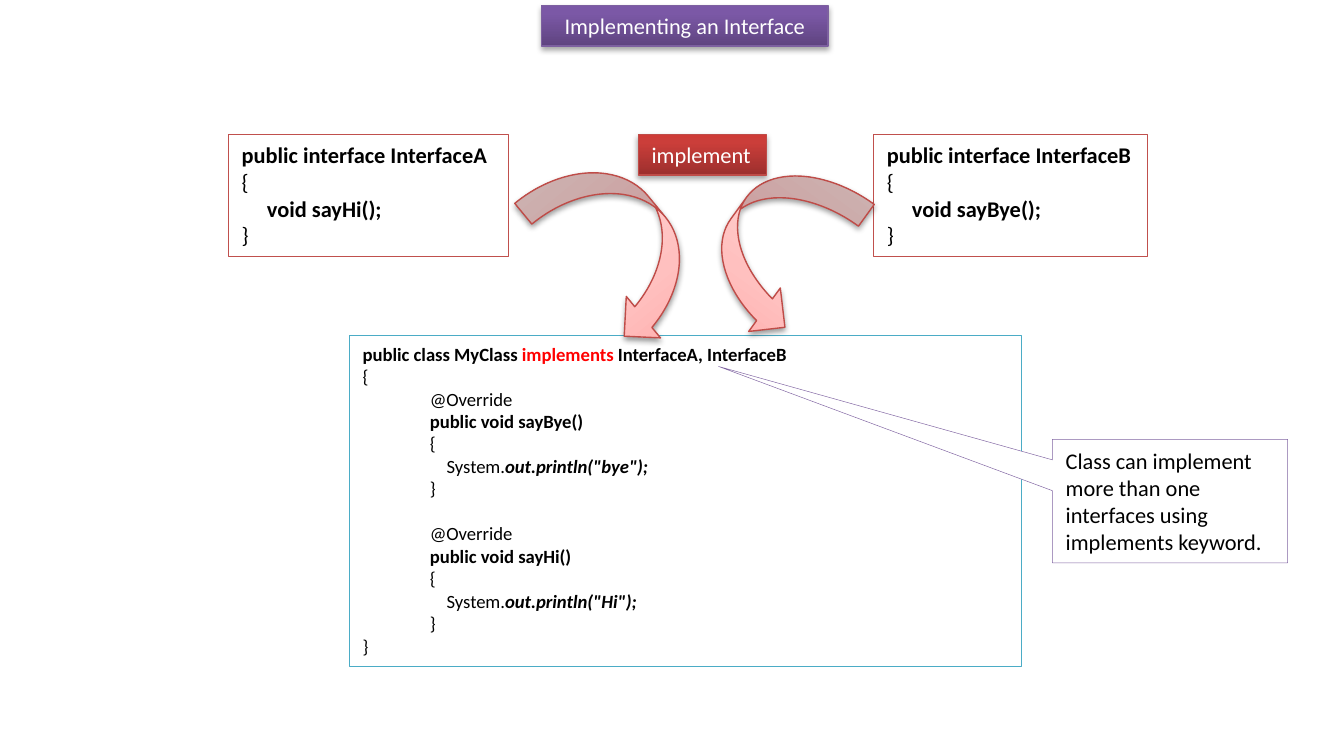
import copy
import pptx
import pptx.dml.color
import pptx.enum.shapes
import pptx.enum.text
import pptx.oxml
import pptx.oxml.ns
import pptx.util

Pt = pptx.util.Pt
SHAPES = pptx.enum.shapes.MSO_SHAPE
ALIGN = pptx.enum.text.PP_ALIGN
ANCHOR = pptx.enum.text.MSO_ANCHOR

FONT = "Calibri"
BLACK, WHITE, RED = "000000", "FFFFFF", "FF0000"
PURPLE_FADE = [(0, "5F4480"), (0.8, "7B58A6"), (1, "7C57A8")]
RED_FADE = [(0, "9C2F2D"), (0.8, "CB3E3A"), (1, "CE3B37")]
PINK_FADE = [(0, "FFA6A5"), (0.35, "FFC0BF"), (1, "FFE7E7")]

TITLE = "Implementing an Interface"
LABEL = "implement"
NOTE = "Class can implement more than one interfaces using implements keyword."
INTERFACES = [
    ("InterfaceA", "sayHi", (122.4, 72, 149.8, 65.5)),
    ("InterfaceB", "sayBye", (468, 72, 146.9, 65.5)),
]
METHODS = [("sayBye", "bye"), ("sayHi", "Hi")]
ARROWS = [
    (SHAPES.CURVED_LEFT_ARROW, (303.1, 78.5, 57.6, 106.6), 320.5),
    (SHAPES.CURVED_RIGHT_ARROW, (388.1, 83.5, 57.6, 95.8), 36),
]
INDENT = 36
CODE_LINE = 12.2


def rgb(value):
    return pptx.dml.color.RGBColor.from_string(value)


def outline(shape, color, width):
    shape.line.color.rgb = rgb(color)
    shape.line.width = Pt(width)


def fade(shape, stops):
    shape.fill.gradient()
    shape.fill.gradient_angle = 90
    stop_list = shape.element.find(".//" + pptx.oxml.ns.qn("a:gsLst"))
    stop_list.append(copy.deepcopy(stop_list[0]))
    for stop, (position, color) in zip(shape.fill.gradient_stops, stops):
        stop.position = position
        stop.color.rgb = rgb(color)


def cast_shadow(shape, distance, opacity):
    shape.shadow.inherit = False
    effects = shape.element.spPr.find(pptx.oxml.ns.qn("a:effectLst"))
    effects.append(pptx.oxml.parse_xml(
        f'<a:outerShdw {pptx.oxml.ns.nsdecls("a")} blurRad="{Pt(3.1)}" dist="{Pt(distance)}" '
        f'dir="5400000" rotWithShape="0"><a:srgbClr val="{BLACK}">'
        f'<a:alpha val="{opacity * 1000}"/></a:srgbClr></a:outerShdw>'))


def add_block(slide, kind, place, line_color, line_width):
    block = slide.shapes.add_shape(kind, *map(Pt, place))
    block.shadow.inherit = False
    block.fill.solid()
    block.fill.fore_color.rgb = rgb(WHITE)
    outline(block, line_color, line_width)
    return block


def write(shape, lines, size, color=BLACK, align=ALIGN.LEFT, anchor=ANCHOR.TOP, wrap=True):
    frame = shape.text_frame
    frame.word_wrap = wrap
    frame.vertical_anchor = anchor
    frame.margin_left = frame.margin_right = Pt(7.2)
    frame.margin_top = frame.margin_bottom = Pt(3.6)
    for number, (indent, before, runs) in enumerate(lines):
        paragraph = frame.add_paragraph() if number else frame.paragraphs[0]
        paragraph.alignment = align
        if indent:
            paragraph.level = 1
            paragraph._p.get_or_add_pPr().set("marL", str(Pt(indent)))
        if before:
            paragraph.space_before = Pt(before)
        paragraph.font.name = FONT
        paragraph.font.size = Pt(size)
        for text, style, run_color in runs:
            run = paragraph.add_run()
            run.text = text
            run.font.bold = "b" in style
            run.font.italic = "i" in style
            run.font.color.rgb = rgb(run_color or color)


def line(text, style="", indent=0, before=0):
    return indent, before, [(text, style, None)]


def class_code():
    lines = [
        (0, 0, [("public class MyClass ", "b", None), ("implements", "b", RED),
                (" InterfaceA, InterfaceB", "b", None)]),
        line("{"),
    ]
    for number, (method, message) in enumerate(METHODS):
        lines += [
            line("@Override", "", INDENT, CODE_LINE if number else 0),
            line(f"public void {method}()", "b", INDENT),
            line("{", "", INDENT),
            (INDENT, 0, [("    System.", "", None), (f'out.println("{message}");', "bi", None)]),
            line("}", "", INDENT),
        ]
    return lines + [line("}")]


def main():
    deck = pptx.Presentation()
    deck.slide_width, deck.slide_height = Pt(720), Pt(396)
    slide = deck.slides.add_slide(deck.slide_layouts[5])

    title = slide.shapes.title
    title.left, title.top, title.width, title.height = map(Pt, (290.2, 2.9, 153.4, 21.8))
    fade(title, PURPLE_FADE)
    outline(title, "7D60A0", 0.75)
    cast_shadow(title, 1.8, 35)
    write(title, [line(TITLE)], 12, WHITE, ALIGN.CENTER, ANCHOR.MIDDLE)
    title.text_frame.auto_size = pptx.enum.text.MSO_AUTO_SIZE.NONE

    for interface, method, place in INTERFACES:
        block = add_block(slide, SHAPES.RECTANGLE, place, "C0504D", 0.5)
        write(block, [line(f"public interface {interface}", "b"), line("{"),
                      line(f"     void {method}();", "b"), line("}")], 12, wrap=False)

    code = add_block(slide, SHAPES.RECTANGLE, (187.2, 180, 360, 177.2), "4BACC6", 0.5)
    write(code, class_code(), 10)

    for kind, place, turn in ARROWS:
        arrow = slide.shapes.add_shape(kind, *map(Pt, place))
        arrow.rotation = turn
        fade(arrow, PINK_FADE)
        outline(arrow, "BF4C48", 0.75)
        cast_shadow(arrow, 1.6, 38)

    label = add_block(slide, SHAPES.RECTANGLE, (342, 72, 68.6, 21.8), "BF4C48", 0.75)
    fade(label, RED_FADE)
    cast_shadow(label, 1.8, 35)
    write(label, [line(LABEL)], 12, WHITE, wrap=False)

    note = add_block(slide, SHAPES.RECTANGULAR_CALLOUT, (563.8, 235.4, 126, 66.2), "8064A2", 0.25)
    note.adjustments[0], note.adjustments[1] = -1.92, -1.09
    write(note, [line(NOTE)], 12, anchor=ANCHOR.MIDDLE)

    deck.save("out.pptx")


if __name__ == "__main__":
    main()
